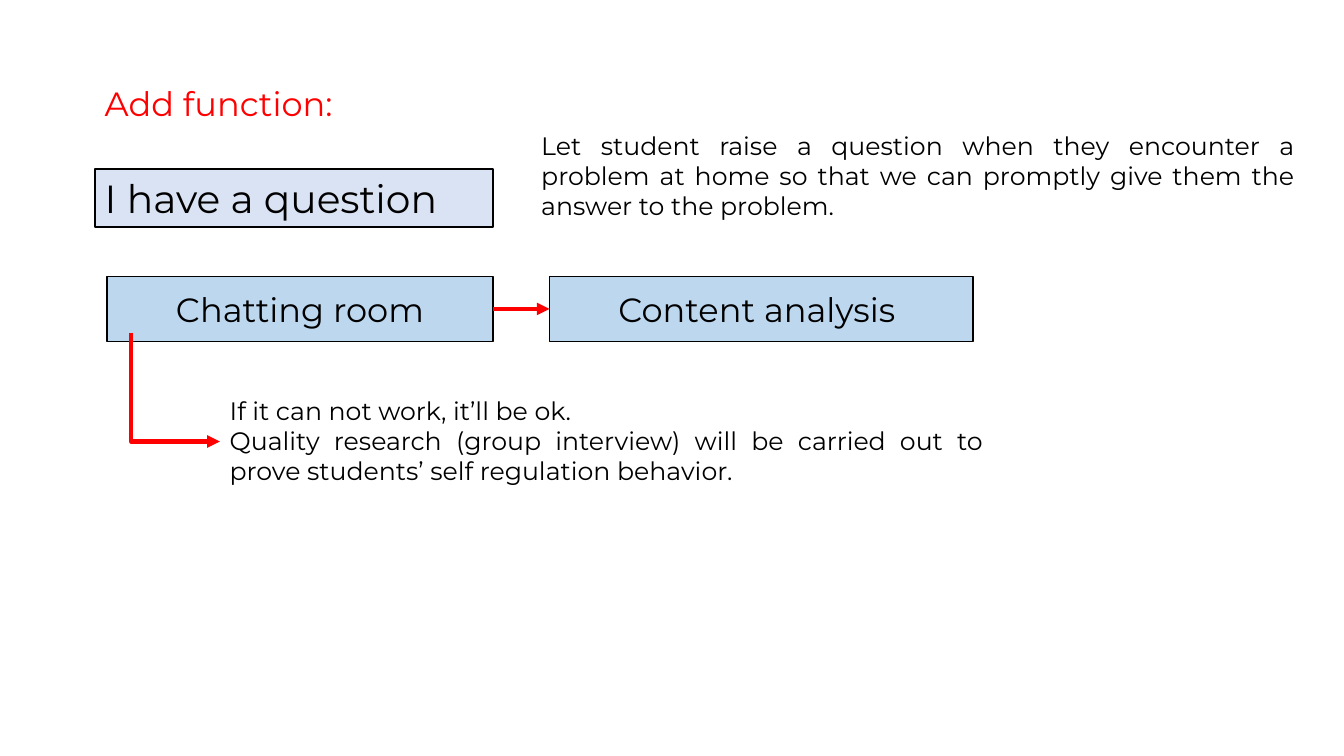
from lxml import etree
from pptx import Presentation
from pptx.dml.color import RGBColor
from pptx.enum.shapes import MSO_CONNECTOR, MSO_SHAPE
from pptx.enum.text import MSO_ANCHOR, MSO_AUTO_SIZE, PP_ALIGN
from pptx.oxml.ns import qn
from pptx.util import Pt

PX = 9144
RECTANGLE = MSO_SHAPE.RECTANGLE
STRAIGHT, ELBOW = MSO_CONNECTOR.STRAIGHT, MSO_CONNECTOR.ELBOW
TOP, MIDDLE = MSO_ANCHOR.TOP, MSO_ANCHOR.MIDDLE
LEFT, CENTER, JUSTIFY = PP_ALIGN.LEFT, PP_ALIGN.CENTER, PP_ALIGN.JUSTIFY
GROW, FIXED = MSO_AUTO_SIZE.SHAPE_TO_FIT_TEXT, MSO_AUTO_SIZE.NONE
RIGHT_SIDE, LEFT_SIDE = 3, 1
BLACK, RED, PALE, BLUE = "000000", "FF0000", "DAE3F3", "BDD7EE"


def color(value):
    """Turn a hex string into a colour."""
    return RGBColor.from_string(value)


def emu(*lengths):
    """Turn px lengths into EMU."""
    return [length * PX for length in lengths]


def write(shape, lines, size, ink=BLACK, align=LEFT, anchor=TOP, fit=GROW):
    """Fill a shape with formatted paragraphs."""
    frame = shape.text_frame
    frame.text = "\n".join(lines)
    formats = {"word_wrap": True, "auto_size": fit, "vertical_anchor": anchor}
    for name, value in formats.items():
        setattr(frame, name, value)
    for paragraph in frame.paragraphs:
        paragraph.alignment = align
        for name, value in {"name": "Montserrat", "size": Pt(size)}.items():
            setattr(paragraph.font, name, value)
        paragraph.font.color.rgb = color(ink)


def add_note(slide, box, lines, size=18, ink=BLACK, align=JUSTIFY):
    """Place plain text in a box."""
    write(slide.shapes.add_textbox(*emu(*box)), lines, size, ink, align)


def add_panel(slide, box, label, fill, border, size, **layout):
    """Place a bordered, labelled rectangle in a box."""
    panel = slide.shapes.add_shape(RECTANGLE, *emu(*box))
    panel.shadow.inherit = False
    panel.fill.solid()
    panel.fill.fore_color.rgb = color(fill)
    panel.line.color.rgb = color(BLACK)
    panel.line.width = Pt(border)
    write(panel, [label], size, **layout)
    return panel


def add_arrow(slide, kind, start, end):
    """Draw a red arrow between two points."""
    arrow = slide.shapes.add_connector(kind, *emu(*start, *end))
    arrow.line.color.rgb = color(RED)
    arrow.line.width = Pt(3)
    etree.SubElement(arrow.line._get_or_add_ln(), qn("a:tailEnd"), type="triangle")
    etree.SubElement(arrow._element.spPr, qn("a:effectLst"))
    return arrow


def add_down_right_arrow(slide, box):
    """Draw an arrow down the left and along the bottom of a box."""
    left, top, width, height = box
    shift = (height - width) // 2
    start = (left + width + shift, top + shift)
    end = (left - shift, top + height - shift)
    arrow = add_arrow(slide, ELBOW, start, end)
    properties = arrow._element.spPr
    properties.find(qn("a:xfrm")).set("rot", str(270 * 60000))
    properties.find(qn("a:prstGeom")).set("prst", "bentConnector2")


def add_question(slide, box):
    """Place the heading, the question panel and its explanation."""
    left, top, width, height = box
    add_panel(slide, (left, top + 91, 395, 57), "I have a question", PALE, 1.5, 28)
    add_note(slide, (left, top, 276, 50), ["Add function:"], 24, RED, LEFT)
    add_note(slide, (left + width - 767, top + 47, 767, height - 47), [
        "Let student raise a question when they encounter a problem at home "
        "so that we can promptly give them the answer to the problem."])


def add_flow(slide, box):
    """Place the chat and analysis panels, their arrows and the remark."""
    left, top, width, height = box
    centered = {"align": CENTER, "anchor": MIDDLE, "fit": FIXED}
    chat = add_panel(slide, (left, top, 383, 65), "Chatting room",
                     BLUE, 1, 24, **centered)
    analysis = add_panel(slide, (left + 439, top, 420, 65), "Content analysis ",
                         BLUE, 1, 24, **centered)
    add_note(slide, (left + width - 767, top + height - 101, 767, 101), [
        "If it can not work, it’ll be ok.",
        "Quality research (group interview) will be carried out to prove "
        "students’ self regulation behavior."])
    link = add_arrow(slide, STRAIGHT, (left + 383, top + 32), (left + 439, top + 32))
    link.begin_connect(chat, RIGHT_SIDE)
    link.end_connect(analysis, LEFT_SIDE)
    add_down_right_arrow(slide, (left + 24, top + 56, 88, 108))


def main():
    """Build and save the slide."""
    deck = Presentation()
    deck.slide_width, deck.slide_height = emu(1333, 750)
    slide = deck.slides.add_slide(deck.slide_layouts[6])
    add_question(slide, (94, 77, 1200, 148))
    add_flow(slide, (106, 274, 879, 214))
    deck.save("out.pptx")


if __name__ == "__main__":
    main()
